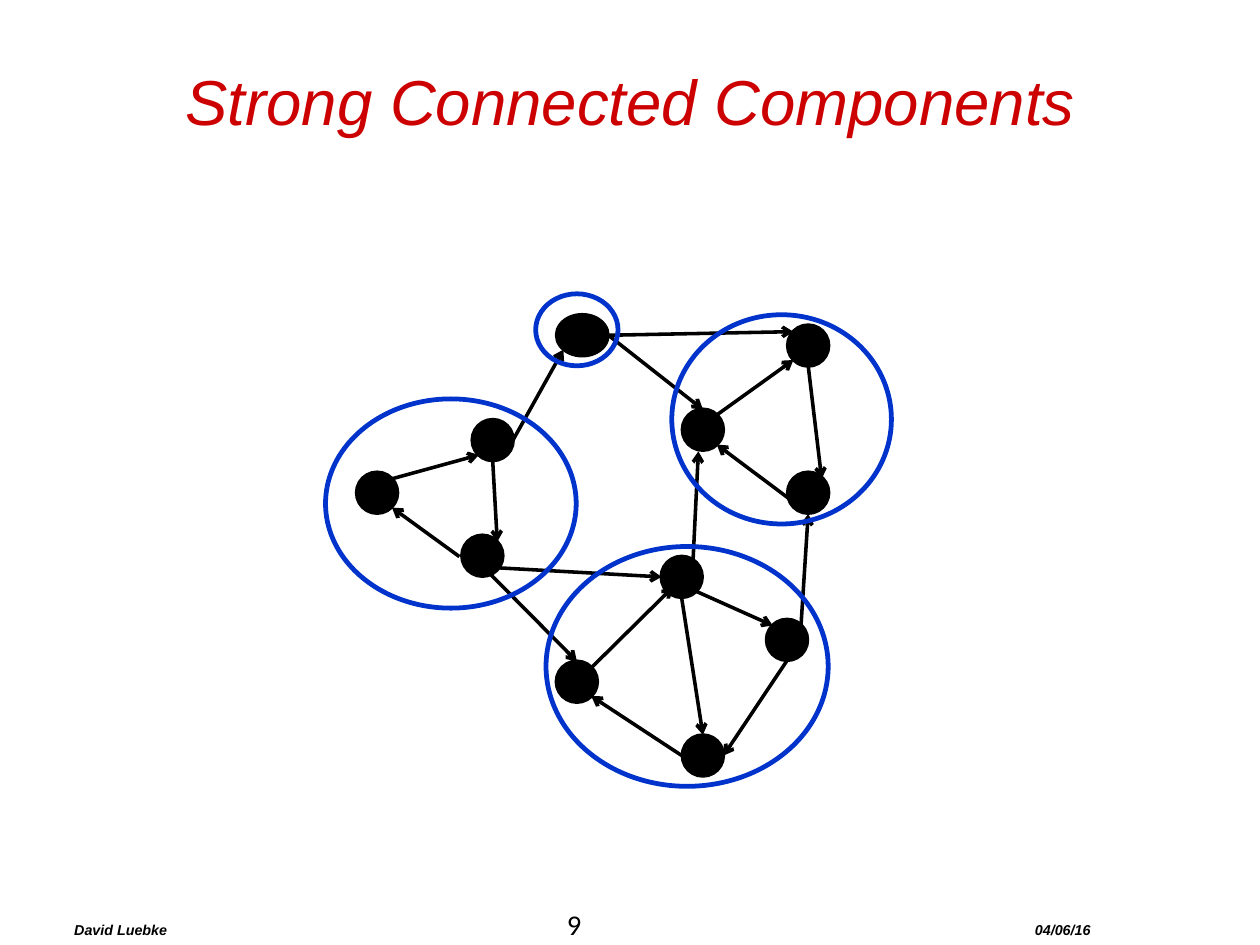
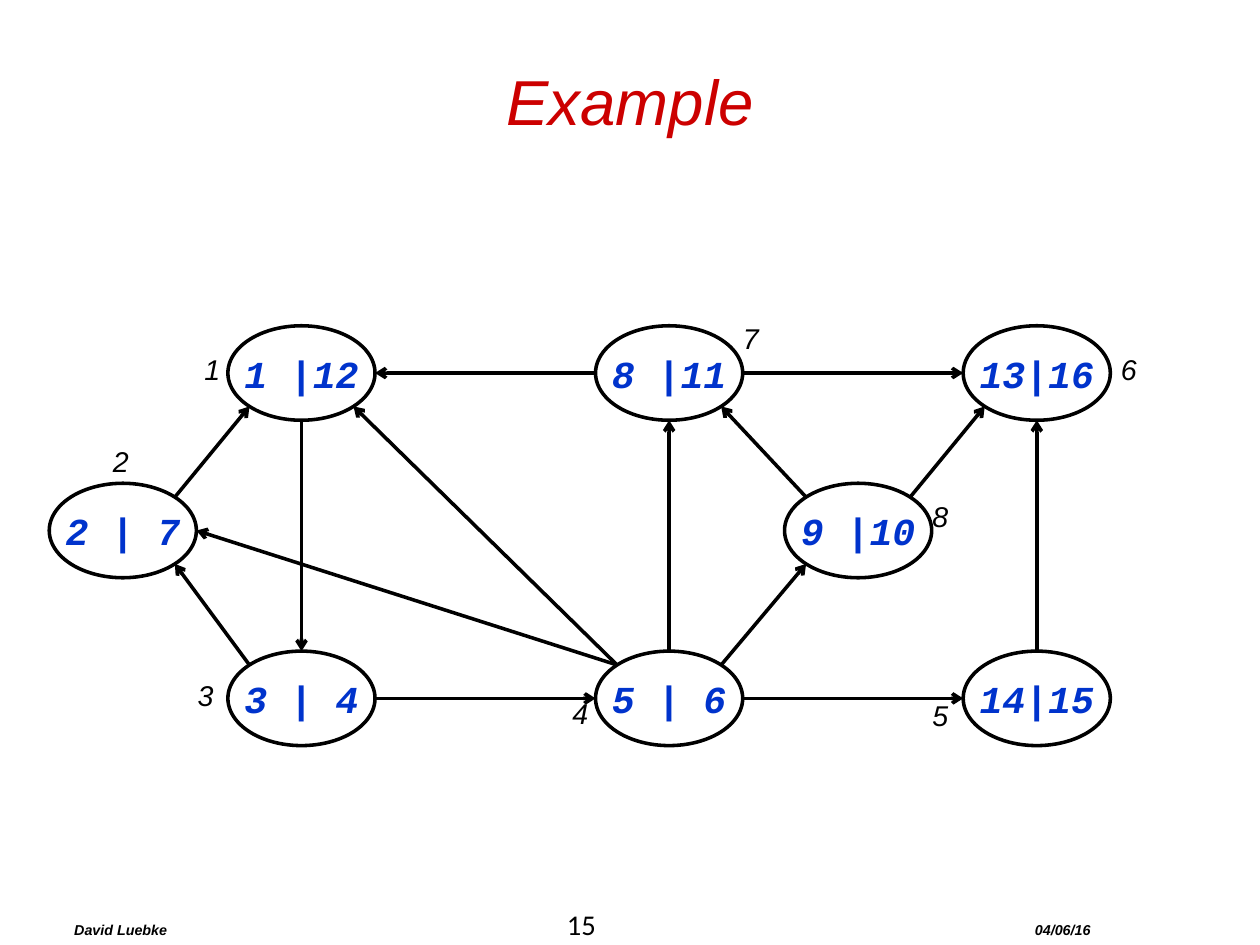
"""Builds two slides on strongly connected components of a directed graph."""
from dataclasses import dataclass
from math import cos, radians, sin

from lxml.etree import SubElement
from pptx import Presentation
from pptx.dml.color import RGBColor
from pptx.enum.shapes import MSO_CONNECTOR as Connector, MSO_SHAPE as Preset
from pptx.enum.text import MSO_ANCHOR as Anchor, PP_ALIGN as Align
from pptx.oxml.ns import qn
from pptx.util import Cm, Pt

BLACK, RED, BLUE = "000000", "CC0000", "0033CC"
SANS, MONO, NUMBER_FONT = "Arial", "Courier New", "Calibri"
THIN, THICK = 2.25, 3.0
MARGIN, CONTENT_WIDTH = 1.4, 25.2
FOOTER_TABS = (10.95, 21.35)
AUTHOR, DATE = "David Luebke", "04/06/16"
DOT = 0.91
NODE_WIDTH, NODE_HEIGHT = 3.27, 2.1
COLUMNS = [6.7 + 8.17 * step for step in range(3)]
TOP_ROW, MIDDLE_ROW, BOTTOM_ROW = 8.29, 11.79, 15.52
LEFT_X = 2.73
ANGLES = {side: 45 * step for step, side in
          enumerate(("E", "SE", "S", "SW", "W", "NW", "N", "NE"))}


@dataclass(frozen=True)
class Oval:
    """An ellipse given by its centre and size in centimetres."""
    x: float
    y: float
    width: float = DOT
    height: float = DOT

    def site(self, side: str) -> tuple[float, float]:
        """Return the point of the outline at a compass side."""
        angle = radians(ANGLES[side])
        return (self.x + self.width / 2 * cos(angle),
                self.y + self.height / 2 * sin(angle))


@dataclass(frozen=True)
class Node:
    """A numbered vertex with its times and the corner of its number."""
    oval: Oval
    times: str
    label_x: float
    label_y: float


@dataclass(frozen=True)
class Edge:
    """An arrow between sides of two numbered vertices."""
    start: int
    start_side: str
    end: int
    end_side: str


@dataclass(frozen=True)
class Arrow:
    """An arrow between two points in centimetres."""
    x1: float
    y1: float
    x2: float
    y2: float


DOTS = (
    Oval(10.72, 12.35), Oval(8.38, 10.95), Oval(10.95, 9.78),
    Oval(12.94, 7.45, 1.14), Oval(17.96, 10.95), Oval(15.62, 9.55),
    Oval(17.96, 7.68), Oval(17.49, 14.22), Oval(15.15, 12.82),
    Oval(15.62, 16.79), Oval(12.82, 15.15),
)
COMPONENTS = (
    Oval(10.02, 11.19, 5.57, 4.65), Oval(15.27, 14.81, 6.27, 5.33),
    Oval(17.37, 9.32, 4.88, 4.65), Oval(12.82, 7.33, 1.83, 1.6),
)
ARROWS = (
    Arrow(8.71, 10.64, 10.64, 10.11), Arrow(10.95, 10.24, 11.05, 12.04),
    Arrow(10.21, 12.37, 8.71, 11.28), Arrow(11.4, 9.78, 12.52, 7.77),
    Arrow(15.93, 9.22, 17.63, 8.0), Arrow(17.96, 8.13, 18.26, 10.64),
    Arrow(17.96, 11.4, 15.93, 9.88), Arrow(13.52, 7.45, 17.63, 7.37),
    Arrow(13.52, 7.45, 15.62, 9.1), Arrow(17.8, 13.9, 17.96, 11.42),
    Arrow(15.47, 13.14, 17.17, 13.9), Arrow(15.4, 12.47, 15.52, 10.03),
    Arrow(17.49, 14.68, 16.08, 16.79), Arrow(15.15, 13.3, 15.62, 16.33),
    Arrow(15.15, 16.79, 13.14, 15.47), Arrow(13.14, 14.84, 14.95, 13.05),
    Arrow(10.74, 12.6, 12.82, 14.7), Arrow(10.74, 12.6, 14.7, 12.82),
)


def node(x: float, y: float, times: str, label_x: float, label_y: float) -> Node:
    """Return a vertex of the common size."""
    return Node(Oval(x, y, NODE_WIDTH, NODE_HEIGHT), times, label_x, label_y)


NODES = {
    1: node(COLUMNS[0], TOP_ROW, "1 |12", 4.29, 7.7),
    2: node(LEFT_X, MIDDLE_ROW, "2 | 7", 2.26, 9.75),
    3: node(COLUMNS[0], BOTTOM_ROW, "3 | 4", 4.14, 14.94),
    4: node(COLUMNS[1], BOTTOM_ROW, "5 | 6", 12.47, 15.34),
    5: node(COLUMNS[2], BOTTOM_ROW, "14|15", 20.47, 15.39),
    6: node(COLUMNS[2], TOP_ROW, "13|16", 24.66, 7.7),
    7: node(COLUMNS[1], TOP_ROW, "8 |11", 16.26, 7.01),
    8: node(LEFT_X + 2 * 8.17, MIDDLE_ROW, "9 |10", 20.47, 10.97),
}
EDGES = (
    Edge(2, "NE", 1, "SW"), Edge(3, "NW", 2, "SE"), Edge(4, "NW", 2, "E"),
    Edge(3, "E", 4, "W"), Edge(1, "S", 3, "N"), Edge(4, "NW", 1, "SE"),
    Edge(4, "N", 7, "S"), Edge(7, "W", 1, "E"), Edge(7, "E", 6, "W"),
    Edge(8, "NW", 7, "SE"), Edge(8, "NE", 6, "SW"), Edge(5, "N", 6, "S"),
    Edge(4, "E", 5, "W"), Edge(4, "NE", 8, "SW"),
)


def rgb(value: str) -> RGBColor:
    """Turn a hex string into a colour."""
    return RGBColor.from_string(value)


def style(span, size: float, color: str, font: str = SANS,
          bold: bool = False, italic: bool = True) -> None:
    """Format one run."""
    span.font.size, span.font.name = Pt(size), font
    span.font.bold, span.font.italic = bold, italic
    span.font.color.rgb = rgb(color)


def add_text(page, text: str, left: float, top: float, width: float,
             height: float, size: float, color: str, centred: bool = False) -> None:
    """Add a text box, centred both ways if asked."""
    box = page.shapes.add_textbox(Cm(left), Cm(top), Cm(width), Cm(height))
    frame = box.text_frame
    frame.text, frame.word_wrap = text, centred
    para = frame.paragraphs[0]
    if centred:
        frame.vertical_anchor, para.alignment = Anchor.MIDDLE, Align.CENTER
    style(para.runs[0], size, color)


def add_footer(page, number: int) -> None:
    """Add author, page number and date on one line with tab stops."""
    box = page.shapes.add_textbox(Cm(MARGIN), Cm(20.07), Cm(CONTENT_WIDTH), Cm(0.94))
    frame = box.text_frame
    frame.word_wrap, frame.vertical_anchor = True, Anchor.MIDDLE
    para = frame.paragraphs[0]
    tabs = SubElement(para._p.get_or_add_pPr(), qn("a:tabLst"))
    for position in FOOTER_TABS:
        SubElement(tabs, qn("a:tab"), pos=str(Cm(position)), algn="l")
    for text in (f"{AUTHOR}\t", str(number), f"\t{DATE}"):
        span = para.add_run()
        span.text = text
        if text.isdigit():
            style(span, 18, BLACK, NUMBER_FONT, italic=False)
        else:
            style(span, 9, BLACK, bold=True)


def add_page(deck, title: str, number: int):
    """Add a blank slide with the shared title and footer."""
    page = deck.slides.add_slide(deck.slide_layouts[6])
    add_text(page, title, MARGIN, 0.71, CONTENT_WIDTH, 3.02, 40, RED, centred=True)
    add_footer(page, number)
    return page


def add_oval(page, oval: Oval, line: str, weight: float, fill: str | None = None):
    """Draw an ellipse, hollow unless a fill is given."""
    shape = page.shapes.add_shape(
        Preset.OVAL, Cm(oval.x - oval.width / 2), Cm(oval.y - oval.height / 2),
        Cm(oval.width), Cm(oval.height))
    shape.shadow.inherit = False
    if fill:
        shape.fill.solid()
        shape.fill.fore_color.rgb = rgb(fill)
    else:
        shape.fill.background()
    shape.line.color.rgb, shape.line.width = rgb(line), Pt(weight)
    return shape


def add_arrow(page, arrow: Arrow) -> None:
    """Draw a black line with an open arrowhead at its end."""
    line = page.shapes.add_connector(
        Connector.STRAIGHT, Cm(arrow.x1), Cm(arrow.y1), Cm(arrow.x2), Cm(arrow.y2))
    line.line.color.rgb, line.line.width = rgb(BLACK), Pt(THIN)
    properties = line.element.spPr
    SubElement(properties.find(qn("a:ln")), qn("a:tailEnd"), type="arrow")
    SubElement(properties, qn("a:effectLst"))


def add_node(page, number: int, vertex: Node) -> None:
    """Draw a vertex with its times and its number."""
    frame = add_oval(page, vertex.oval, BLACK, THIN).text_frame
    frame.text, frame.word_wrap = vertex.times, False
    frame.vertical_anchor = Anchor.MIDDLE
    para = frame.paragraphs[0]
    para.alignment = Align.CENTER
    style(para.runs[0], 24, BLUE, MONO, bold=True)
    add_text(page, str(number), vertex.label_x, vertex.label_y, 0.86, 1.02, 18, BLACK)


def build_components(deck) -> None:
    """Build the slide with the ringed components."""
    page = add_page(deck, "Strong Connected Components", 9)
    for dot in DOTS:
        add_oval(page, dot, BLACK, THIN, BLACK)
    for arrow in ARROWS:
        add_arrow(page, arrow)
    for ring in COMPONENTS:
        add_oval(page, ring, BLUE, THICK)


def build_example(deck) -> None:
    """Build the slide with the timed vertices."""
    page = add_page(deck, "Example", 15)
    for number, vertex in NODES.items():
        add_node(page, number, vertex)
    for edge in EDGES:
        start = NODES[edge.start].oval.site(edge.start_side)
        end = NODES[edge.end].oval.site(edge.end_side)
        add_arrow(page, Arrow(*start, *end))


def main() -> None:
    """Build and save the deck."""
    deck = Presentation()
    deck.slide_width, deck.slide_height = Cm(28), Cm(21)
    build_components(deck)
    build_example(deck)
    deck.save("out.pptx")


if __name__ == "__main__":
    main()
